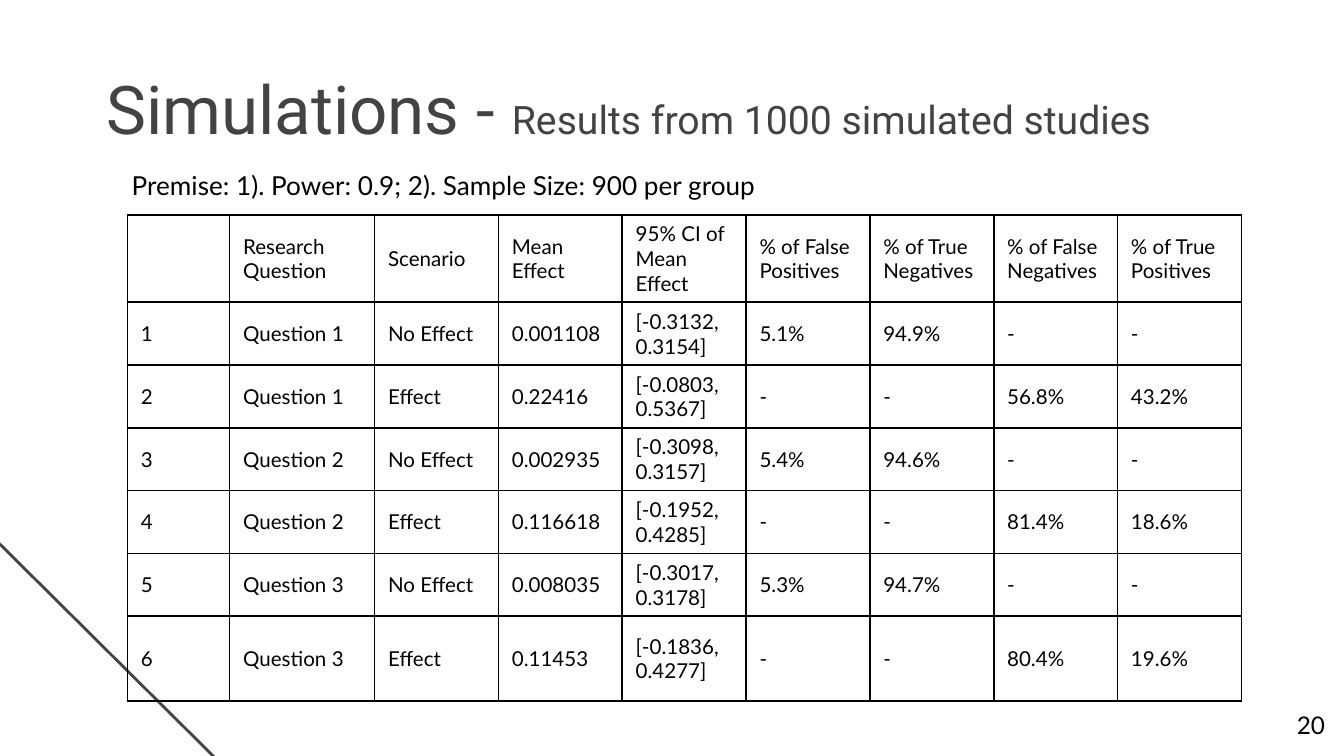
import lxml.etree
import pptx
import pptx.dml.color
import pptx.enum.shapes
import pptx.enum.text
import pptx.oxml.ns
import pptx.util

Cm, Pt = pptx.util.Cm, pptx.util.Pt
RGB = pptx.dml.color.RGBColor.from_string
ALIGN = pptx.enum.text.PP_ALIGN
ANCHOR = pptx.enum.text.MSO_ANCHOR
qn = pptx.oxml.ns.qn

THEME = {
    "ink": "000000", "grey": "434343",
    "head": "Roboto", "body": "Lato",
    "title": 36, "subtitle": 21, "premise": 14, "number": 13, "cell": 11,
    "rule": 1.5, "border": 1,
}

TITLE, SUBTITLE = "Simulations - ", "Results from 1000 simulated studies"
PREMISE = "Premise: 1). Power: 0.9; 2). Sample Size: 900 per group"
PAGE = "20"
HEADER = ["", "Research Question", "Scenario", "Mean Effect",
          "95% CI of Mean Effect", "% of False Positives",
          "% of True Negatives", "% of False Negatives", "% of True Positives"]
# mean effect, confidence interval, wrong %, right %
RESULTS = [
    ("0.001108", "[-0.3132, 0.3154]", "5.1%", "94.9%"),
    ("0.22416", "[-0.0803, 0.5367]", "56.8%", "43.2%"),
    ("0.002935", "[-0.3098, 0.3157]", "5.4%", "94.6%"),
    ("0.116618", "[-0.1952, 0.4285]", "81.4%", "18.6%"),
    ("0.008035", "[-0.3017, 0.3178]", "5.3%", "94.7%"),
    ("0.11453", "[-0.1836, 0.4277]", "80.4%", "19.6%"),
]
COLS = [1.93, 2.74] + [2.34] * 7
ROWS = [1.6] + [1.17] * 5 + [1.6]


def table_rows():
    """Each question has a no-effect row, then an effect row."""
    rows = [HEADER]
    for i, (mean, interval, wrong, right) in enumerate(RESULTS):
        effect = i % 2 == 1
        rates = ["-", "-", wrong, right] if effect else [wrong, right, "-", "-"]
        rows.append([str(i + 1), f"Question {i // 2 + 1}",
                     "Effect" if effect else "No Effect", mean, interval] + rates)
    return rows


def put(tf, text, size, font="body", color="ink", align=ALIGN.LEFT):
    """Add a formatted run to the first paragraph."""
    p = tf.paragraphs[0]
    p.alignment = align
    r = p.add_run()
    r.text = text
    r.font.size = Pt(THEME[size])
    r.font.name = THEME[font]
    r.font.color.rgb = RGB(THEME[color])


def add_text(s, box, text, size, **style):
    tf = s.shapes.add_textbox(*map(Cm, box)).text_frame
    tf.word_wrap = True
    tf.margin_left = tf.margin_right = tf.margin_top = tf.margin_bottom = Cm(0.25)
    put(tf, text, size, **style)


def add_title(s):
    sp = s.shapes.title
    sp.left, sp.top, sp.width, sp.height = map(Cm, (2.01, 1.24, 21.41, 1.6))
    tf = sp.text_frame
    tf.auto_size = pptx.enum.text.MSO_AUTO_SIZE.NONE
    tf.vertical_anchor = ANCHOR.MIDDLE
    tf.margin_left = tf.margin_right = tf.margin_top = tf.margin_bottom = 0
    put(tf, TITLE, "title", "head", "grey")
    put(tf, SUBTITLE, "subtitle", "head", "grey")


def add_corner_rule(s):
    line = s.shapes.add_connector(pptx.enum.shapes.MSO_CONNECTOR.STRAIGHT,
                                  *map(Cm, (4.19, 14.45, -0.43, 9.86)))
    line.line.color.rgb = RGB(THEME["grey"])
    line.line.width = Pt(THEME["rule"])
    lxml.etree.SubElement(line._element.spPr, qn("a:effectLst"))


def set_borders(cell):
    tc_pr = cell._tc.get_or_add_tcPr()
    for side in ("a:lnL", "a:lnR", "a:lnT", "a:lnB"):
        ln = lxml.etree.SubElement(tc_pr, qn(side), w=str(Pt(THEME["border"])))
        fill = lxml.etree.SubElement(ln, qn("a:solidFill"))
        lxml.etree.SubElement(fill, qn("a:srgbClr"), val=THEME["ink"])


def add_results(s):
    table = s.shapes.add_table(len(ROWS), len(COLS), Cm(2.41), Cm(4.06),
                               Cm(sum(COLS)), Cm(sum(ROWS))).table
    table.first_row = table.horz_banding = False
    for col, width in zip(table.columns, COLS):
        col.width = Cm(width)
    for row, height, texts in zip(table.rows, ROWS, table_rows()):
        row.height = Cm(height)
        for cell, text in zip(row.cells, texts):
            cell.vertical_anchor = ANCHOR.MIDDLE
            set_borders(cell)
            cell.fill.background()
            if text:
                put(cell.text_frame, text, "cell")


def main():
    prs = pptx.Presentation()
    prs.slide_width, prs.slide_height = Cm(25.4), Cm(14.29)
    s = prs.slides.add_slide(prs.slide_layouts.get_by_name("Title Only"))
    add_corner_rule(s)
    add_title(s)
    add_text(s, (23.77, 13.18, 1.52, 1.09), PAGE, "number", align=ALIGN.RIGHT)
    add_text(s, (2.24, 2.95, 20.47, 1.12), PREMISE, "premise")
    add_results(s)
    prs.save("out.pptx")


if __name__ == "__main__":
    main()
